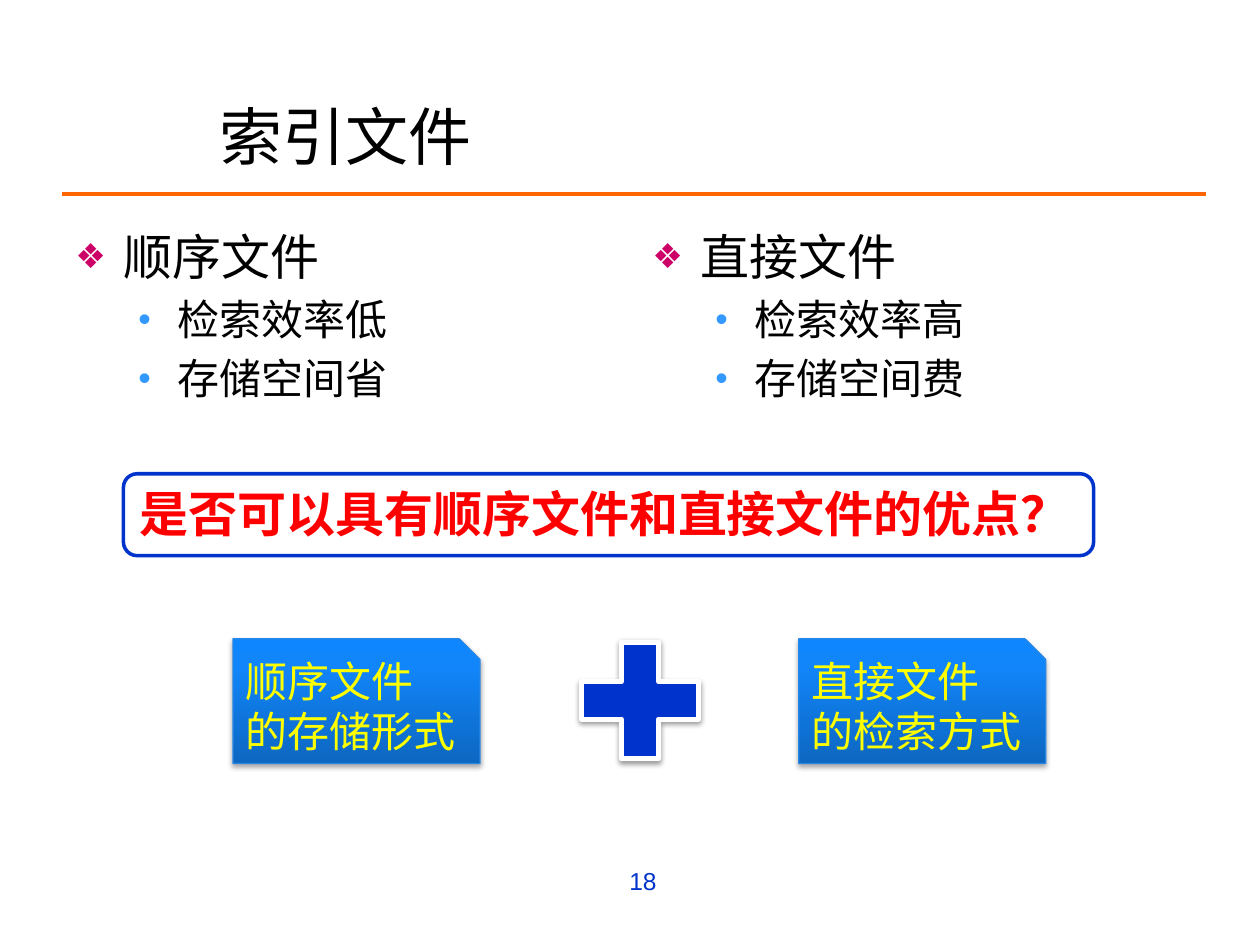
from dataclasses import dataclass

from lxml.etree import SubElement
from pptx import Presentation
from pptx.dml.color import RGBColor
from pptx.enum.shapes import MSO_CONNECTOR as Connector, MSO_SHAPE as Shape
from pptx.enum.text import MSO_ANCHOR as Anchor, MSO_AUTO_SIZE as AutoSize, PP_ALIGN as Align
from pptx.oxml.ns import qn
from pptx.util import Inches, Pt


@dataclass(frozen=True)
class Theme:
    font: str = "Arial"
    black: str = "000000"
    white: str = "FFFFFF"
    blue: str = "0033CC"
    orange: str = "FF6600"
    red: str = "FF0000"
    yellow: str = "FFFF00"
    card_line: str = "2787E6"
    card_stops: tuple = ((0, "0D67C1"), (80, "1186FB"), (100, "0E86FF"))
    title_size: int = 36
    heading_size: int = 28
    body_size: int = 24
    number_size: int = 14


@dataclass(frozen=True)
class Bullet:
    mark: str
    color: str
    percent: int
    margin: float
    hanging: float


HEADING_BULLET = Bullet("❖", "CC0066", 70, 0.38, 0.38)
ITEM_BULLET = Bullet("•", "3399FF", 85, 0.81, 0.31)


def add_color(parent, color):
    return SubElement(parent, qn("a:srgbClr"), val=color)


def write_text(para, text, *, size, color, font=Theme.font, bold=False, align=Align.LEFT):
    para.alignment = align
    span = para.add_run()
    span.text = text
    span.font.name = font
    span.font.size = Pt(size)
    span.font.bold = bold
    span.font.color.rgb = RGBColor.from_string(color)


def set_bullet(para, bullet):
    props = para._p.get_or_add_pPr()
    props.set("marL", str(Inches(bullet.margin)))
    props.set("indent", str(-Inches(bullet.hanging)))
    add_color(SubElement(props, qn("a:buClr")), bullet.color)
    SubElement(props, qn("a:buSzPct"), val=str(bullet.percent * 1000))
    SubElement(props, qn("a:buFont"), typeface=Theme.font)
    SubElement(props, qn("a:buChar"), char=bullet.mark)


def set_gradient(shape, stops):
    """Fill from bottom to top with (percent, color) stops."""
    shape.fill.gradient()
    shape.fill.gradient_angle = 90
    stop_list = shape._element.spPr.find(qn("a:gradFill")).find(qn("a:gsLst"))
    for old_stop in list(stop_list):
        stop_list.remove(old_stop)
    for percent, color in stops:
        add_color(SubElement(stop_list, qn("a:gs"), pos=str(percent * 1000)), color)


def set_shadow(shape, blur, distance, opacity):
    """Drop a black shadow straight down; blur and distance are in points."""
    effects = shape._element.spPr.find(qn("a:effectLst"))
    shadow = SubElement(effects, qn("a:outerShdw"), blurRad=str(Pt(blur)),
                        dist=str(Pt(distance)), dir="5400000", rotWithShape="0")
    SubElement(add_color(shadow, Theme.black), qn("a:alpha"), val=str(opacity * 1000))


class SlideBuilder:
    def __init__(self, deck, theme):
        self.theme = theme
        self.slide = deck.slides.add_slide(deck.slide_layouts[5])

    def title(self, text, left, top, width, height):
        box = self.slide.shapes.title
        box.left, box.top, box.width, box.height = map(Inches, (left, top, width, height))
        frame = box.text_frame
        frame.auto_size = AutoSize.NONE
        frame.vertical_anchor = Anchor.MIDDLE
        write_text(frame.paragraphs[0], text, size=self.theme.title_size, color=self.theme.black)

    def rule(self, left, right, top):
        line = self.slide.shapes.add_connector(
            Connector.STRAIGHT, Inches(left), Inches(top), Inches(right), Inches(top))
        line.line.color.rgb = RGBColor.from_string(self.theme.orange)
        line.line.width = Pt(2.25)
        SubElement(line._element.spPr, qn("a:effectLst"))

    def text_box(self, left, top, width, height):
        box = self.slide.shapes.add_textbox(*map(Inches, (left, top, width, height)))
        box.text_frame.word_wrap = True
        return box.text_frame

    def bullet_list(self, heading, items, left, top, width, height):
        frame = self.text_box(left, top, width, height)
        rows = [(heading, HEADING_BULLET, self.theme.heading_size)]
        rows += [(item, ITEM_BULLET, self.theme.body_size) for item in items]
        for index, (text, bullet, size) in enumerate(rows):
            para = frame.add_paragraph() if index else frame.paragraphs[0]
            para.level = 1 if index else 0
            para.space_before = Pt(round(size * 0.2, 1))
            set_bullet(para, bullet)
            write_text(para, text, size=size, color=self.theme.black)

    def page_number(self, number, left, top, width, height):
        frame = self.text_box(left, top, width, height)
        write_text(frame.paragraphs[0], str(number), size=self.theme.number_size,
                   color=self.theme.blue, align=Align.RIGHT)

    def shape(self, kind, left, top, width, height, *, fill, line, line_width):
        shape = self.slide.shapes.add_shape(kind, *map(Inches, (left, top, width, height)))
        if isinstance(fill, str):
            shape.fill.solid()
            shape.fill.fore_color.rgb = RGBColor.from_string(fill)
        else:
            set_gradient(shape, fill)
        shape.line.color.rgb = RGBColor.from_string(line)
        shape.line.width = Pt(line_width)
        shape.shadow.inherit = False
        return shape

    def label(self, shape, lines, **style):
        frame = shape.text_frame
        frame.word_wrap = False
        frame.auto_size = AutoSize.SHAPE_TO_FIT_TEXT
        frame.vertical_anchor = Anchor.TOP
        for index, text in enumerate(lines):
            para = frame.add_paragraph() if index else frame.paragraphs[0]
            write_text(para, text, **style)

    def question(self, text, left, top, width, height):
        box = self.shape(Shape.ROUNDED_RECTANGLE, left, top, width, height,
                         fill=self.theme.white, line=self.theme.blue, line_width=2)
        self.label(box, [text], size=self.theme.heading_size, color=self.theme.red, bold=True)

    def plus(self, left, top, side):
        sign = self.shape(Shape.MATH_PLUS, left, top, side, side,
                          fill=self.theme.blue, line=self.theme.white, line_width=3)
        set_shadow(sign, blur=3.1, distance=1.6, opacity=38)

    def card(self, lines, left, top, width, height):
        card = self.shape(Shape.SNIP_1_RECTANGLE, left, top, width, height,
                          fill=self.theme.card_stops, line=self.theme.card_line, line_width=0.75)
        set_shadow(card, blur=3.1, distance=1.8, opacity=35)
        self.label(card, lines, size=self.theme.body_size, color=self.theme.yellow)


def main():
    deck = Presentation()
    deck.slide_width, deck.slide_height = Inches(10), Inches(7.5)
    page = SlideBuilder(deck, Theme())

    page.rule(0.49, 9.57, 1.54)
    page.title("索引文件", 1.64, 0.75, 7.26, 0.64)
    page.bullet_list("顺序文件", ["检索效率低", "存储空间省"], 0.5, 1.75, 4.42, 4.95)
    page.bullet_list("直接文件", ["检索效率高", "存储空间费"], 5.08, 1.75, 4.42, 4.95)
    page.page_number(18, 2.8, 6.82, 2.51, 0.52)
    page.question("是否可以具有顺序文件和直接文件的优点？", 0.98, 3.76, 7.7, 0.65)
    page.plus(4.45, 4.93, 1.26)
    page.card(["顺序文件", "的存储形式"], 1.85, 5.07, 1.96, 0.99)
    page.card(["直接文件", "的检索方式"], 6.34, 5.07, 1.96, 0.99)

    deck.save("out.pptx")


if __name__ == "__main__":
    main()
